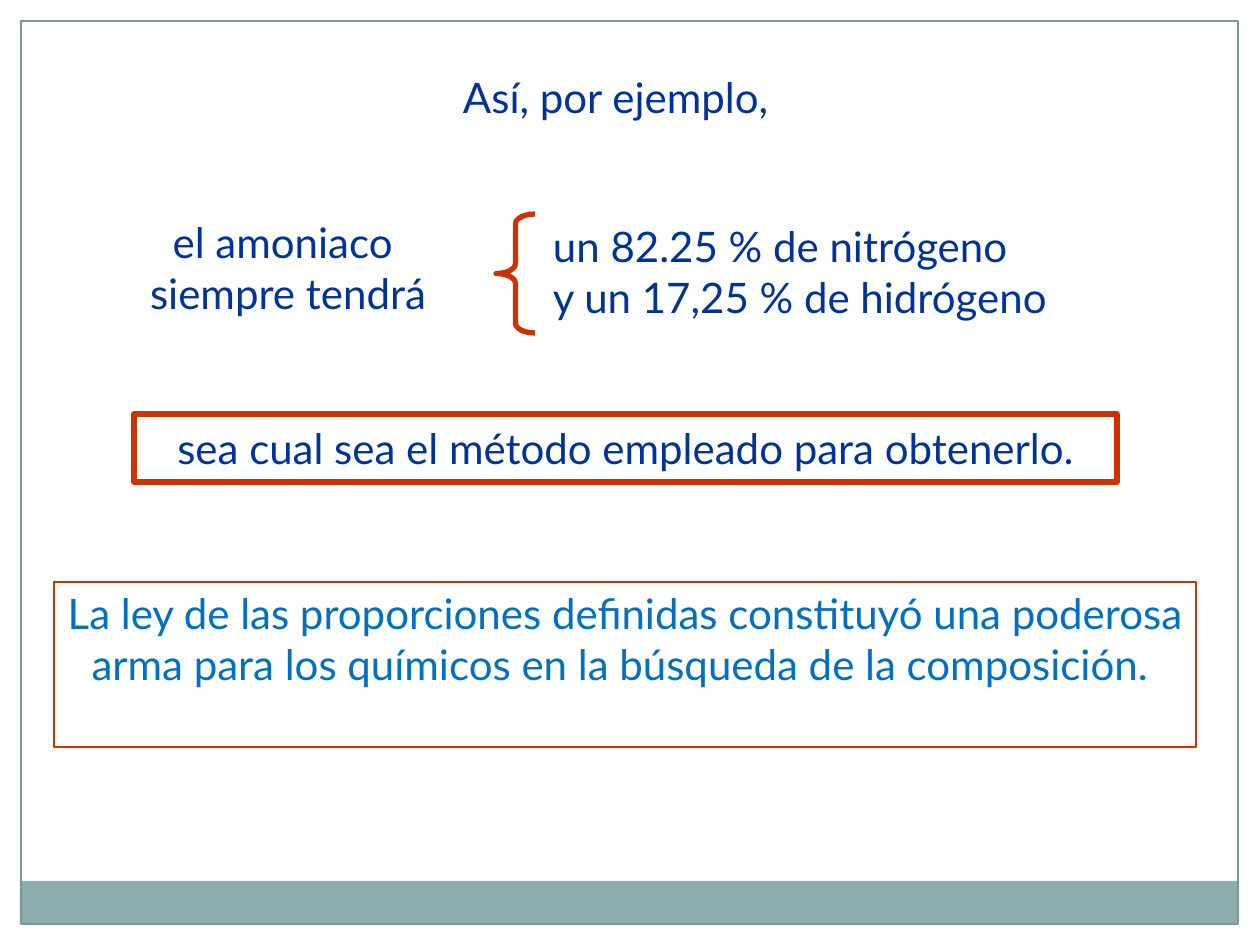
import pptx
import pptx.util
import pptx.dml.color
import pptx.enum.shapes
import pptx.enum.text

PX = 914400 // 126
COLORS = {
    "navy": "003399",
    "blue": "0070C0",
    "red": "CC3300",
    "band": "8CADAE",
    "frame": "7C999A",
}
SHAPE = pptx.enum.shapes.MSO_SHAPE
ALIGN = pptx.enum.text.PP_ALIGN
ANCHOR = pptx.enum.text.MSO_ANCHOR


def rgb(name):
    return pptx.dml.color.RGBColor.from_string(COLORS[name])


def write(shape, text, color="navy", align=ALIGN.CENTER, anchor=ANCHOR.TOP, wrap=True):
    """Fill a shape with text, one paragraph for each line."""
    frame = shape.text_frame
    frame.word_wrap = wrap
    frame.vertical_anchor = anchor
    frame.margin_left = frame.margin_right = 12 * PX
    frame.margin_top = frame.margin_bottom = 6 * PX
    frame.text = text
    for paragraph in frame.paragraphs:
        paragraph.alignment = align
        paragraph.font.name = "Lato"
        paragraph.font.size = pptx.util.Pt(24)
        paragraph.font.color.rgb = rgb(color)


presentation = pptx.Presentation()
presentation.slide_width = 1260 * PX
presentation.slide_height = 945 * PX
slide = presentation.slides.add_slide(presentation.slide_layouts[6])

# Bottom band, page frame, boxed sentences and brace
outlines = {}
for part, kind, box, fill, line, width in [
    ("band", SHAPE.RECTANGLE, (20, 881, 1218, 43), "band", None, 0),
    ("frame", SHAPE.RECTANGLE, (21, 21, 1217, 903), None, "frame", 0.75),
    ("method", SHAPE.RECTANGLE, (134, 414, 983, 68), None, "red", 3),
    ("brace", SHAPE.LEFT_BRACE, (496, 214, 39, 119), None, "red", 3),
    ("law", SHAPE.RECTANGLE, (54, 582, 1142, 165), None, "red", 0.75),
]:
    shape = slide.shapes.add_shape(kind, *[length * PX for length in box])
    shape.shadow.inherit = False
    if fill:
        shape.fill.solid()
        shape.fill.fore_color.rgb = rgb(fill)
    else:
        shape.fill.background()
    if line:
        shape.line.color.rgb = rgb(line)
        shape.line.width = pptx.util.Pt(width)
    else:
        shape.line.fill.background()
    outlines[part] = shape

outlines["brace"].adjustments[0] = 0.25
outlines["brace"].adjustments[1] = 0.5

write(
    outlines["method"],
    "sea cual sea el método empleado para obtenerlo.",
    anchor=ANCHOR.MIDDLE,
)
write(
    outlines["law"],
    "La ley de las proporciones definidas constituyó una poderosa "
    "arma para los químicos en la búsqueda de la composición. ",
    color="blue",
)

# Free text around the brace
for text, box, align, wrap in [
    ("Así, por ejemplo,", (451, 66, 339, 63), ALIGN.LEFT, False),
    ("el amoniaco \nsiempre tendrá", (100, 211, 376, 113), ALIGN.CENTER, True),
    (
        "un 82.25 % de nitrógeno\ny un 17,25 % de hidrógeno ",
        (541, 215, 566, 113),
        ALIGN.JUSTIFY,
        True,
    ),
]:
    textbox = slide.shapes.add_textbox(*[length * PX for length in box])
    write(textbox, text, align=align, wrap=wrap)

presentation.save("out.pptx")
